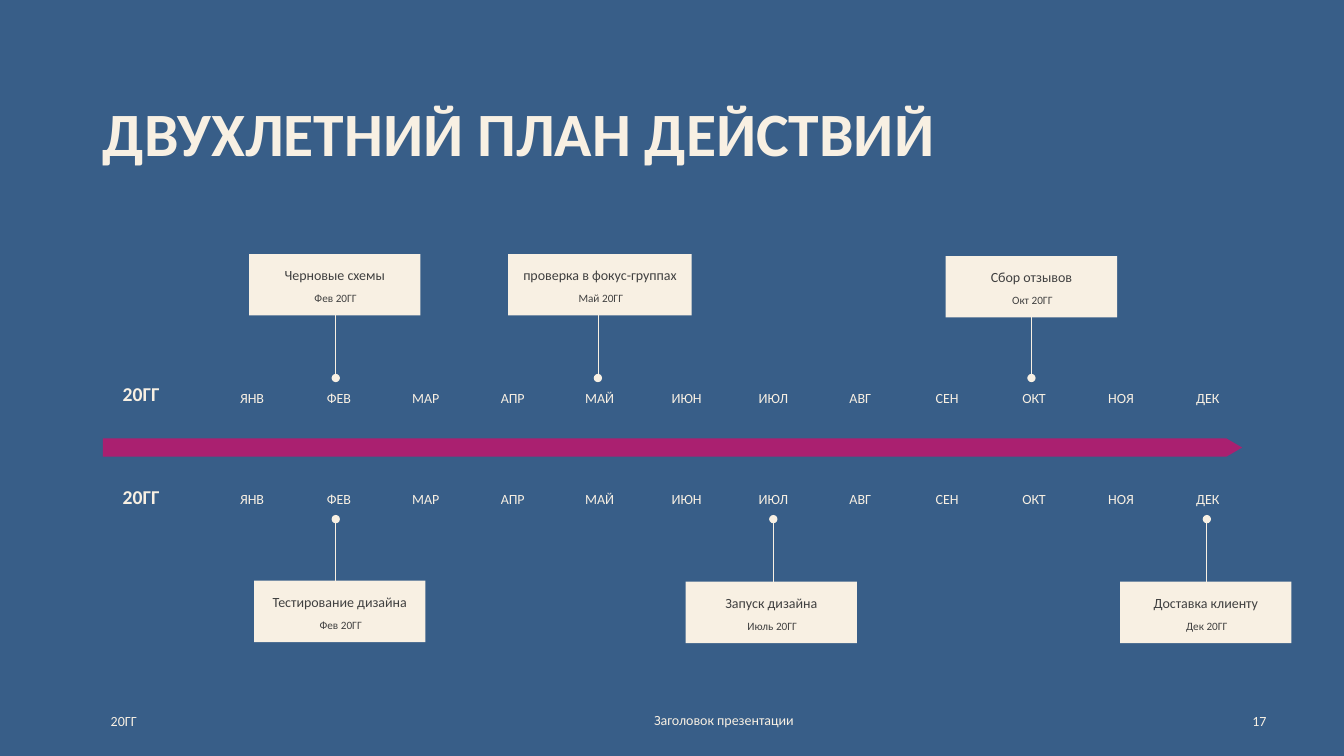
import dataclasses

import pptx
import pptx.dml.color
import pptx.enum.shapes
import pptx.enum.text
import pptx.oxml.ns
import pptx.util
from lxml import etree

Inches = pptx.util.Inches
SHAPE = pptx.enum.shapes.MSO_SHAPE
ALIGN = pptx.enum.text.PP_ALIGN
ANCHOR = pptx.enum.text.MSO_ANCHOR


@dataclasses.dataclass(frozen=True)
class Theme:
    font: str = "Calibri"
    background: str = "385E88"
    cream: str = "F8F0E3"
    accent: str = "AA2070"
    dark: str = "404040"
    title_size: int = 44
    year_size: int = 14
    body_size: int = 10
    date_size: int = 8
    line_width: float = 0.5


class SlideBuilder:
    def __init__(self, slide, theme):
        self.slide = slide
        self.theme = theme
        fill = slide.background.fill
        fill.solid()
        fill.fore_color.rgb = self.rgb(theme.background)

    def rgb(self, value):
        return pptx.dml.color.RGBColor.from_string(value)

    def fill_text(self, sp, text, size, color, bold=False, align=ALIGN.CENTER,
                  anchor=ANCHOR.TOP, spacing=0.9):
        tf = sp.text_frame
        tf.word_wrap = True
        tf.vertical_anchor = anchor
        p = tf.paragraphs[0]
        p.alignment = align
        p.line_spacing = spacing
        r = p.add_run()
        r.text = text
        r.font.name = self.theme.font
        r.font.size = pptx.util.Pt(size)
        r.font.bold = bold
        r.font.color.rgb = self.rgb(color)

    def text(self, x, y, w, h, text, size, color=None, **style):
        sp = self.slide.shapes.add_textbox(
            Inches(x), Inches(y), Inches(w), Inches(h))
        self.fill_text(sp, text, size, color or self.theme.cream, **style)

    def shape(self, kind, x, y, w, h, color):
        sp = self.slide.shapes.add_shape(
            kind, Inches(x), Inches(y), Inches(w), Inches(h))
        sp.shadow.inherit = False
        sp.fill.solid()
        sp.fill.fore_color.rgb = self.rgb(color)
        sp.line.fill.background()
        return sp

    def marker(self, x, y_from, y_to):
        """Line from a card to a round dot beside its month."""
        line = self.slide.shapes.add_connector(
            pptx.enum.shapes.MSO_CONNECTOR.STRAIGHT,
            Inches(x), Inches(y_from), Inches(x), Inches(y_to))
        line.line.color.rgb = self.rgb(self.theme.cream)
        line.line.width = pptx.util.Pt(self.theme.line_width)
        qn = pptx.oxml.ns.qn
        properties = line.element.spPr
        etree.SubElement(properties.find(qn("a:ln")), qn("a:tailEnd"), type="oval")
        etree.SubElement(properties, qn("a:effectLst"))

    def card(self, x, y, w, name, date):
        t = self.theme
        sp = self.shape(SHAPE.RECTANGLE, x, y, w, 0.61, t.cream)
        sp.text_frame.margin_top = Inches(0.04)
        self.fill_text(sp, name, t.body_size, t.dark, spacing=1.5)
        self.text(x + w / 2 - 0.79, y + 0.34, 1.6, 0.25, date, t.date_size, t.dark)

    def year_row(self, year, year_y, month_y):
        t = self.theme
        self.text(1, year_y, 0.8, 0.5, year, t.year_size, bold=True,
                  anchor=ANCHOR.MIDDLE)
        step = (11.63 - 2.15) / (len(MONTHS) - 1)
        for i, month in enumerate(MONTHS):
            self.text(2.15 + i * step, month_y, 0.7, 0.22, month, t.body_size)

    def footer(self, x, y, w, text, align):
        self.text(x, y, w, 0.4, text, self.theme.body_size, align=align,
                  anchor=ANCHOR.MIDDLE, spacing=1.0)


MONTHS = "ЯНВ ФЕВ МАР АПР МАЙ ИЮН ИЮЛ АВГ СЕН ОКТ НОЯ ДЕК".split()

# Marker x, card left, top and width, milestone, date
FIRST_YEAR = [
    (3.33, 2.47, 2.52, 1.7, "Черновые схемы", "Фев 20ГГ"),
    (5.93, 5.04, 2.52, 1.82, "проверка в фокус-группах", "Май 20ГГ"),
    (10.23, 9.38, 2.54, 1.7, "Сбор отзывов", "Окт 20ГГ"),
]
SECOND_YEAR = [
    (3.33, 2.52, 5.76, 1.7, "Тестирование дизайна", "Фев 20ГГ"),
    (7.67, 6.8, 5.77, 1.7, "Запуск дизайна", "Июль 20ГГ"),
    (11.97, 11.11, 5.77, 1.7, "Доставка клиенту", "Дек 20ГГ"),
]


def main():
    prs = pptx.Presentation()
    prs.slide_width = Inches(13.33)
    prs.slide_height = Inches(7.5)
    s = SlideBuilder(prs.slides.add_slide(prs.slide_layouts[6]), Theme())

    # Timeline arrow
    arrow = s.shape(SHAPE.RIGHT_ARROW, 1.02, 4.35, 11.3, 0.18, s.theme.accent)
    arrow.adjustments[0] = 1
    arrow.adjustments[1] = 0.86

    # Title
    s.text(0.92, 0.98, 11.5, 1.45, "ДВУХЛЕТНИЙ ПЛАН ДЕЙСТВИЙ",
           s.theme.title_size, bold=True, align=ALIGN.LEFT)

    # Each year: markers, then cards over them, then the month labels
    years = [
        (FIRST_YEAR, 2.95, 3.75, 3.67, 3.83),
        (SECOND_YEAR, 5.95, 5.15, 4.69, 4.84),
    ]
    for milestones, line_from, line_to, year_y, month_y in years:
        for marker_x, *card in milestones:
            s.marker(marker_x, line_from, line_to)
            s.card(*card)
        s.year_row("20ГГ", year_y, month_y)

    # Footer
    s.footer(1, 6.95, 1.2, "20ГГ", ALIGN.LEFT)
    s.footer(5.93, 6.94, 2.5, "Заголовок презентации", ALIGN.CENTER)
    s.footer(12.16, 6.95, 0.5, "17", ALIGN.RIGHT)

    prs.save("out.pptx")


if __name__ == "__main__":
    main()
